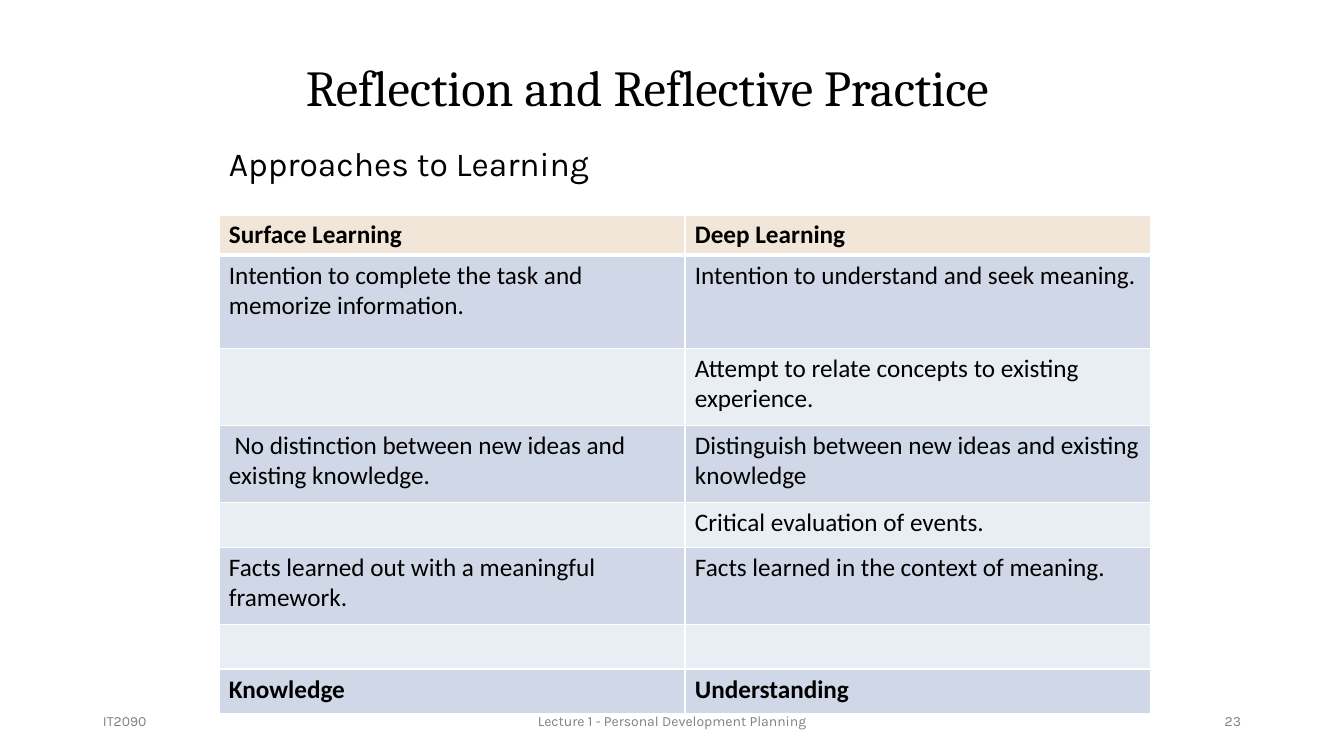
from lxml import etree
from pptx import Presentation
from pptx.dml.color import RGBColor as RGB
from pptx.enum.text import MSO_ANCHOR as ANCHOR, PP_ALIGN as ALIGN
from pptx.oxml.ns import qn
from pptx.util import Emu, Pt

THEME = {
    "ink": "000000", "muted": "808080", "border": "FFFFFF",
    "header": "F2E6D8", "band": ["D0D8E8", "E9EDF4"],
    "title": 36, "subtitle": 24, "cell": 18, "footer": 10,
    "title_font": "Cambria", "body_font": "Karla", "table_font": "Calibri",
}
PX = 914400 / 100.8


def px(n):
    return Emu(round(n * PX))


def write(tf, text, size, font, color=THEME["ink"], bold=False,
          align=ALIGN.LEFT, anchor=ANCHOR.TOP, spacing=None):
    tf.word_wrap = True
    tf.vertical_anchor = anchor
    p = tf.paragraphs[0]
    p.alignment = align
    p.line_spacing = spacing
    r = p.add_run()
    r.text = text
    r.font.size, r.font.name, r.font.bold = Pt(size), font, bold
    r.font.color.rgb = RGB.from_string(color)


prs = Presentation()
prs.slide_width, prs.slide_height = px(1344), px(756)
s = prs.slides.add_slide(prs.slide_layouts[6])

# Subtitle and title
body = s.shapes.add_textbox(px(219), px(143), px(932), px(572))
write(body.text_frame, "Approaches to Learning", THEME["subtitle"],
      THEME["body_font"], spacing=0.9)
title = s.shapes.add_textbox(px(244), px(53), px(807), px(74))
write(title.text_frame, "Reflection and Reflective Practice", THEME["title"],
      THEME["title_font"], align=ALIGN.CENTER, anchor=ANCHOR.MIDDLE, spacing=0.9)

# Comparison table
rows = [
    (40, "Surface Learning", "Deep Learning"),
    (93, "Intention to complete the task and memorize information.",
     "Intention to understand and seek meaning."),
    (77, "", "Attempt to relate concepts to existing experience."),
    (77, " No distinction between new ideas and existing knowledge.",
     "Distinguish between new ideas and existing knowledge"),
    (45, "", "Critical evaluation of events."),
    (77, "Facts learned out with a meaningful framework.",
     "Facts learned in the context of meaning."),
    (45, "", ""),
    (45, "Knowledge", "Understanding"),
]
last = len(rows) - 1
table = s.shapes.add_table(len(rows), 2, px(219), px(215), px(932), px(499)).table
table.first_row = table.horz_banding = False
for col in table.columns:
    col.width = px(466)
for i, (height, *texts) in enumerate(rows):
    table.rows[i].height = px(height)
    for j, text in enumerate(texts):
        cell = table.cell(i, j)
        cell.margin_left = cell.margin_right = px(10)
        cell.margin_top = cell.margin_bottom = px(5)
        if text:
            write(cell.text_frame, text, THEME["cell"], THEME["table_font"],
                  bold=i in (0, last))
        # Thin white borders, thick under the header
        tcPr = cell._tc.get_or_add_tcPr()
        for side in "LRTB":
            thick = (i, side) in ((0, "B"), (1, "T"))
            ln = etree.SubElement(tcPr, qn(f"a:ln{side}"), w=str(Pt(3 if thick else 1)))
            line_fill = etree.SubElement(ln, qn("a:solidFill"))
            etree.SubElement(line_fill, qn("a:srgbClr"), val=THEME["border"])
        cell.fill.solid()
        color = THEME["band"][(i - 1) % 2] if i else THEME["header"]
        cell.fill.fore_color.rgb = RGB.from_string(color)

# Footer
footers = [
    (93, 302, "IT2090", ALIGN.LEFT),
    (445, 454, "Lecture 1 - Personal Development Planning", ALIGN.CENTER),
    (949, 302, "23", ALIGN.RIGHT),
]
for left, width, text, align in footers:
    footer = s.shapes.add_textbox(px(left), px(701), px(width), px(40))
    write(footer.text_frame, text, THEME["footer"], THEME["body_font"],
          color=THEME["muted"], align=align, anchor=ANCHOR.MIDDLE)

prs.save("out.pptx")
